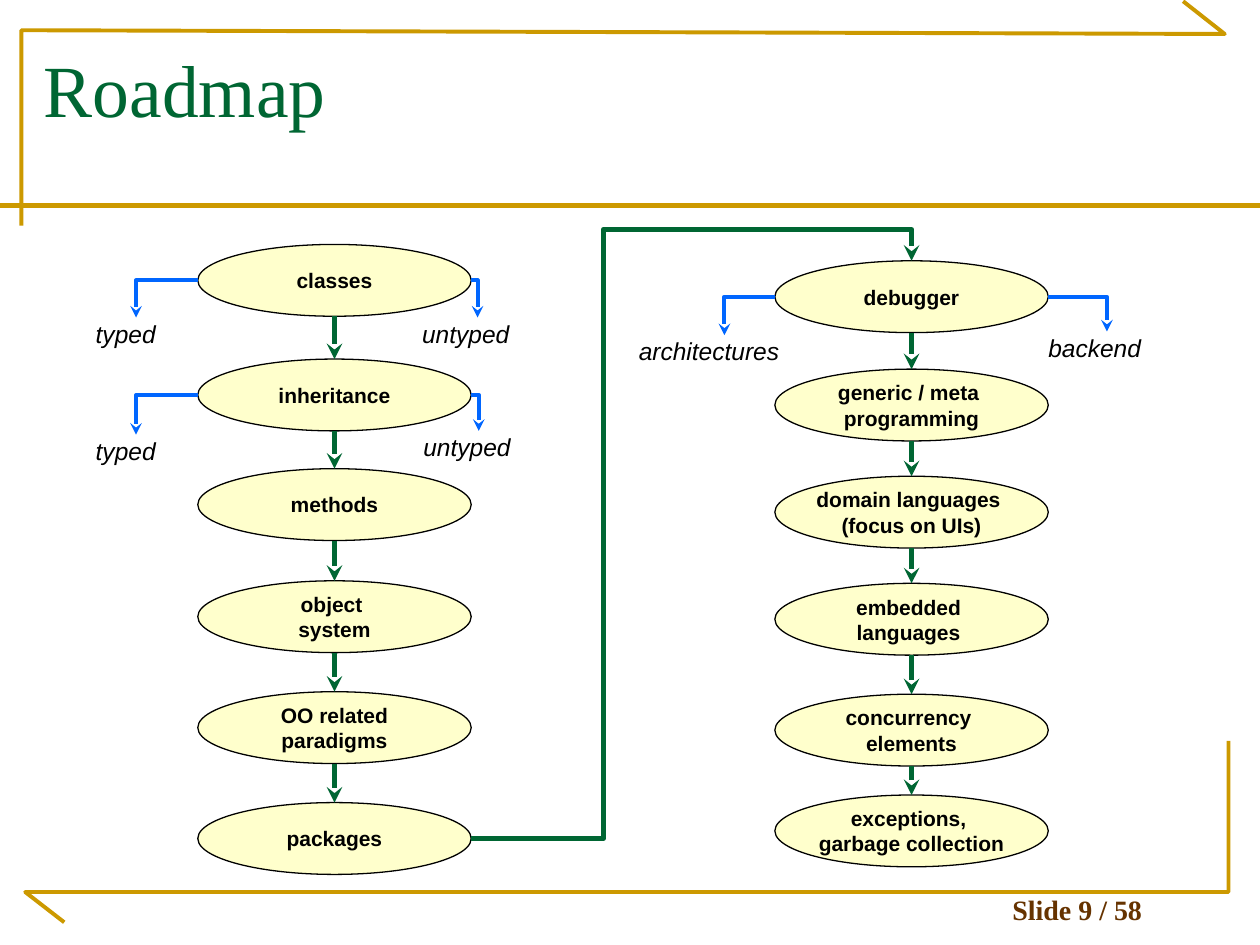
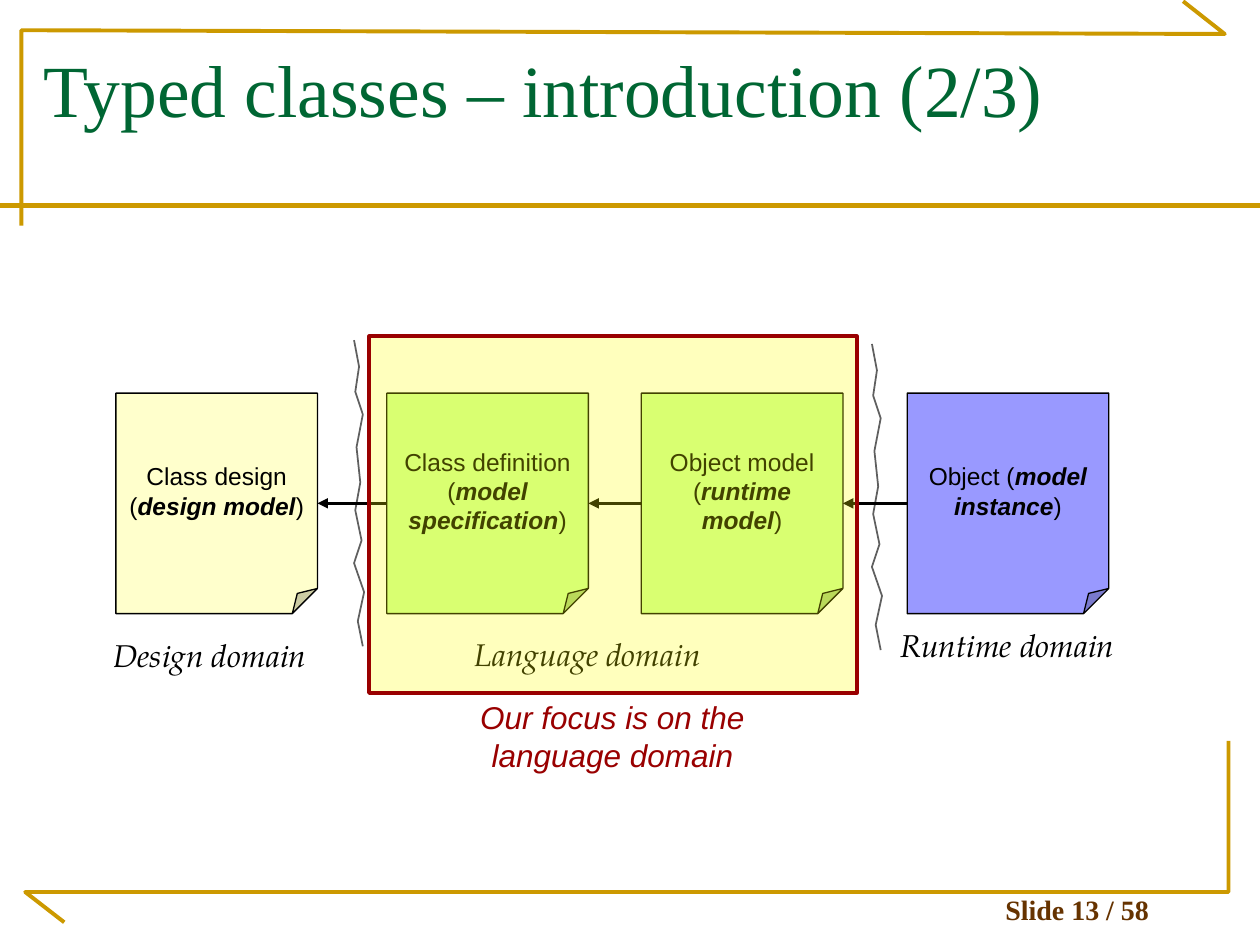
from lxml import etree
from pptx import Presentation
from pptx import util as u
from pptx.dml import color
from pptx.enum import shapes as kinds, text
from pptx.oxml import ns

GOLD, GREEN, BROWN, RED = "CC9900", "006633", "663300", "990000"
BLUE, CREAM, LIME, VIOLET = "0066FF", "FFFFCC", "CCFF99", "9999FF"
BLACK, WHITE, GREY, YELLOW = "000000", "FFFFFF", "5F5F5F", "FFFF00"
SERIF, SANS, DOMAIN_FONT = "Times New Roman", "Arial", "TeX Gyre Pagella"

TITLE = dict(size=42, name=SERIF, color=GREEN)
FOOTER = dict(size=16, name=SERIF, color=BROWN, bold=True)
TOPIC = dict(size=12, name=SANS, color=BLACK, bold=True)
VARIANT = dict(size=14, name=SANS, color=BLACK, italic=True)
NOTE = dict(size=14, name=SANS, color=BLACK)
NOTE_TERM = dict(NOTE, bold=True, italic=True)
DOMAIN = dict(size=18, name=DOMAIN_FONT, color=BLACK, italic=True)
FOCUS = dict(size=18, name=SANS, color=RED, italic=True)

CENTER = text.PP_ALIGN.CENTER
LEFT = text.PP_ALIGN.LEFT
TOP = text.MSO_ANCHOR.TOP
MIDDLE = text.MSO_ANCHOR.MIDDLE
BOTTOM = text.MSO_ANCHOR.BOTTOM

TOPIC_WIDTH, TOPIC_HEIGHT = 2.17, 0.57
VARIANT_HEIGHT = 0.26
NOTE_TOP, NOTE_WIDTH, NOTE_HEIGHT = 3.12, 1.6, 1.75


def paint(target, hex_code):
    target.rgb = color.RGBColor.from_string(hex_code)


def inches(values):
    return [u.Inches(value) for value in values]


def add_child(parent, tag, **attributes):
    return etree.SubElement(parent, ns.qn(tag), attributes)


def set_guides(shape, **guides):
    geometry = shape.element.spPr.find(ns.qn("a:prstGeom"))
    adjustments = geometry.find(ns.qn("a:avLst"))
    if adjustments is None:
        adjustments = add_child(geometry, "a:avLst")
    for name, value in guides.items():
        add_child(adjustments, "a:gd", name=name, fmla=f"val {value}")


def write(shape, paragraphs, align=LEFT, anchor=TOP, wrap=True, insets=(0.1, 0.05)):
    frame = shape.text_frame
    side, edge = inches(insets)
    settings = dict(word_wrap=wrap, vertical_anchor=anchor, margin_left=side,
                    margin_right=side, margin_top=edge, margin_bottom=edge)
    for attribute, value in settings.items():
        setattr(frame, attribute, value)
    for index, runs in enumerate(paragraphs):
        paragraph = frame.paragraphs[0] if index == 0 else frame.add_paragraph()
        paragraph.alignment = align
        for words, style in runs:
            run = paragraph.add_run()
            run.text = words
            for attribute, value in style.items():
                if attribute == "color":
                    paint(run.font.color, value)
                else:
                    setattr(run.font, attribute, u.Pt(value) if attribute == "size" else value)


def add_text(shapes, box, words, style, **layout):
    write(shapes.add_textbox(*inches(box)), [[(words, style)]], **layout)


def outline(shape, hex_code, width):
    paint(shape.line.color, hex_code)
    shape.line.width = u.Pt(width)


def add_figure(shapes, kind, box, fill, line, width=0.75):
    figure = shapes.add_shape(kind, *inches(box))
    figure.shadow.inherit = False
    if fill:
        figure.fill.solid()
        paint(figure.fill.fore_color, fill)
    else:
        figure.fill.background()
    outline(figure, line, width)
    return figure


def add_polyline(shapes, points, line, width):
    start, *rest = [inches(point) for point in points]
    builder = shapes.build_freeform(*start)
    builder.add_line_segments(rest, close=False)
    polyline = builder.convert_to_shape()
    polyline.shadow.inherit = False
    polyline.fill.background()
    outline(polyline, line, width)


def add_link(shapes, start, end, line, width, head=None, bend=None, **guides):
    straight, elbow = kinds.MSO_CONNECTOR.STRAIGHT, kinds.MSO_CONNECTOR.ELBOW
    link = shapes.add_connector(elbow if bend else straight, *inches(start + end))
    outline(link, line, width)
    properties = link.element.spPr
    if bend:
        properties.find(ns.qn("a:prstGeom")).set("prst", bend)
        set_guides(link, **guides)
    if head:
        add_child(properties.find(ns.qn("a:ln")), "a:tailEnd", type=head)
    add_child(properties, "a:effectLst")


def add_base(deck, title, number):
    shapes = deck.slides.add_slide(deck.slide_layouts[6]).shapes
    add_polyline(shapes, [(0.17, 1.79), (0.17, 0.24), (9.72, 0.27), (9.39, 0.01)], GOLD, 2.25)
    add_polyline(shapes, [(0.51, 7.32), (0.2, 7.08), (9.75, 7.08), (9.75, 5.88)], GOLD, 2.25)
    add_link(shapes, (0, 1.63), (10, 1.63), GOLD, 3)
    add_text(shapes, (7.37, 7.07, 2.36, 0.33), f"Slide {number} / 58", FOOTER,
             align=CENTER, anchor=BOTTOM)
    add_text(shapes, (0.25, 0.3, 9.42, 1.25), title, TITLE)
    return shapes


def add_topics(shapes, left, topics):
    middle = left + TOPIC_WIDTH / 2
    previous_bottom = None
    for top, lines in topics:
        oval = add_figure(shapes, kinds.MSO_SHAPE.OVAL,
                          (left, top, TOPIC_WIDTH, TOPIC_HEIGHT), CREAM, BLACK)
        write(oval, [[(line, TOPIC)] for line in lines], CENTER, MIDDLE, wrap=False)
        if previous_bottom:
            add_link(shapes, (middle, previous_bottom), (middle, top), GREEN, 3, "stealth")
        previous_bottom = top + TOPIC_HEIGHT


def add_variant(shapes, topic_left, topic_top, name, left, top, width):
    label = add_figure(shapes, kinds.MSO_SHAPE.RECTANGLE,
                       (left, top, width, VARIANT_HEIGHT), None, WHITE)
    write(label, [[(name, VARIANT)]], insets=(0.06, 0.01))
    middle = left + width / 2
    edge = topic_left if middle < topic_left else topic_left + TOPIC_WIDTH
    add_link(shapes, (edge, topic_top + TOPIC_HEIGHT / 2), (middle, top),
             BLUE, 2.25, "stealth", "bentConnector2")


def build_roadmap(deck):
    shapes = add_base(deck, "Roadmap", 9)
    basics_left, advanced_left = 1.57, 6.15
    basics = [
        (1.94, ["classes"]),
        (2.85, ["inheritance"]),
        (3.72, ["methods"]),
        (4.61, ["object ", "system"]),
        (5.49, ["OO related", "paradigms"]),
        (6.37, ["packages"]),
    ]
    advanced = [
        (2.07, ["debugger"]),
        (2.93, ["generic / meta ", "programming"]),
        (3.78, ["domain languages ", "(focus on UIs)"]),
        (4.63, ["embedded ", "languages "]),
        (5.51, ["concurrency ", "elements"]),
        (6.31, ["exceptions, ", "garbage collection"]),
    ]
    variants = [
        (basics_left, 1.94, "typed", 0.7, 2.52, 0.76),
        (basics_left, 1.94, "untyped", 3.29, 2.52, 1),
        (basics_left, 2.85, "typed", 0.7, 3.45, 0.76),
        (basics_left, 2.85, "untyped", 3.3, 3.42, 1),
        (advanced_left, 2.07, "architectures", 5.01, 2.66, 1.48),
        (advanced_left, 2.07, "backend", 8.26, 2.63, 1.05),
    ]
    add_topics(shapes, basics_left, basics)
    add_topics(shapes, advanced_left, advanced)
    for variant in variants:
        add_variant(shapes, *variant)
    add_link(shapes, (basics_left + TOPIC_WIDTH, basics[-1][0] + TOPIC_HEIGHT / 2),
             (advanced_left + TOPIC_WIDTH / 2, advanced[0][0]),
             GREEN, 3, "stealth", "bentConnector4", adj1=30000, adj2=105400)


def add_focus(shapes):
    group = shapes.add_group_shape().shapes
    panel = add_figure(group, kinds.MSO_SHAPE.RECTANGLE, (2.93, 2.67, 3.87, 2.83),
                       YELLOW, RED, 2.25)
    tint = panel.element.spPr.find(ns.qn("a:solidFill")).find(ns.qn("a:srgbClr"))
    add_child(tint, "a:alpha", val="26000")
    add_text(group, (3.2, 5.49, 3.32, 0.7), "Our focus is on the language domain",
             FOCUS, align=CENTER)


def build_typed_classes(deck):
    shapes = add_base(deck, "Typed classes – introduction (2/3)", 13)
    notes = [
        (0.92, CREAM, "Class design (", "design model"),
        (3.07, LIME, "Class definition (", "model specification"),
        (5.09, LIME, "Object model (", "runtime model"),
        (7.2, VIOLET, "Object (", "model instance"),
    ]
    for left, fill, lead, term in notes:
        note = add_figure(shapes, kinds.MSO_SHAPE.FOLDED_CORNER,
                          (left, NOTE_TOP, NOTE_WIDTH, NOTE_HEIGHT), fill, BLACK)
        set_guides(note, adj=12500)
        write(note, [[(lead, NOTE), (term, NOTE_TERM), (")", NOTE)]], CENTER, MIDDLE)

    tear = [(0, 0), (0.04, 0.21), (0.01, 0.41), (0.07, 0.59), (0.02, 0.85), (0.05, 1.13),
            (0.01, 1.35), (0.06, 1.59), (0, 1.77), (0.08, 2), (0.03, 2.23), (0.07, 2.43)]
    for left, top in [(2.81, 2.7), (6.92, 2.73)]:
        add_polyline(shapes, [(left + x, top + y) for x, y in tear], GREY, 1)

    domains = [
        ("Design domain", 0.8, 5, 1.93),
        ("Language domain", 3.67, 4.99, 2.29),
        ("Runtime domain", 7.05, 4.92, 2.13),
    ]
    for name, left, top, width in domains:
        add_text(shapes, (left, top, width, 0.4), name, DOMAIN, wrap=False)

    arrow_y = NOTE_TOP + NOTE_HEIGHT / 2
    for target, source in zip(notes, notes[1:]):
        add_link(shapes, (source[0], arrow_y), (target[0] + NOTE_WIDTH, arrow_y),
                 BLACK, 1.5, "triangle")
    add_focus(shapes)


def main():
    deck = Presentation()
    deck.slide_width, deck.slide_height = inches((10, 7.5))
    build_roadmap(deck)
    build_typed_classes(deck)
    deck.save("out.pptx")


if __name__ == "__main__":
    main()
